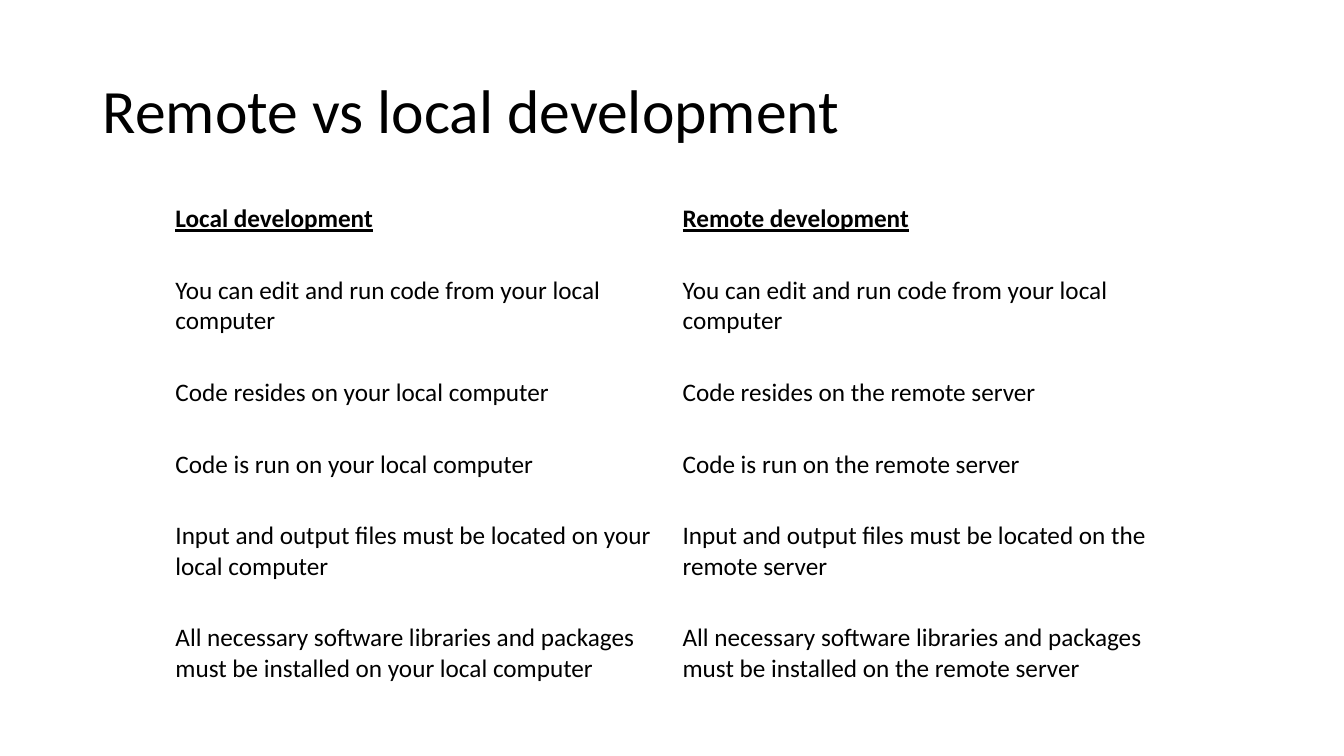
from pptx import Presentation
from pptx.dml.color import RGBColor
from pptx.enum.text import MSO_ANCHOR, PP_ALIGN
from pptx.util import Inches, Pt

# Content
TITLE = "Remote vs local development"
HEADINGS = ("Local development", "Remote development")
PLACES = ("your local computer", "the remote server")
SHARED_POINT = "You can edit and run code from your local computer"
POINTS = [
    "Code resides on {}",
    "Code is run on {}",
    "Input and output files must be located on {}",
    "All necessary software libraries and packages must be installed on {}",
]
COMPARISON = [HEADINGS, (SHARED_POINT, SHARED_POINT)]
COMPARISON += [tuple(point.format(place) for place in PLACES) for point in POINTS]

# Each row holds its text lines plus spare space below
ROW_LINES = [2, 3, 2, 2, 3, 2]
LINE_HEIGHT = 0.305
ROW_PADDING = 0.1
COLUMN_WIDTH = 5.03

COLORS = {"text": "000000", "background": "FFFFFF"}
FONT = "Calibri"


def write_text(frame, text, size=18, bold=False, underline=False, line_spacing=1.0):
    frame.word_wrap = True
    paragraph = frame.paragraphs[0]
    paragraph.alignment = PP_ALIGN.LEFT
    paragraph.line_spacing = line_spacing
    run = paragraph.add_run()
    run.text = text
    run.font.name = FONT
    run.font.size = Pt(size)
    run.font.bold = bold
    run.font.underline = underline
    run.font.color.rgb = RGBColor.from_string(COLORS["text"])


def main():
    deck = Presentation()
    deck.slide_width, deck.slide_height = Inches(13.33), Inches(7.5)
    slide = deck.slides.add_slide(deck.slide_layouts[5])
    slide.background.fill.solid()
    slide.background.fill.fore_color.rgb = RGBColor.from_string(COLORS["background"])

    # Title
    title = slide.shapes.title
    title.left, title.top = Inches(0.92), Inches(0.4)
    title.width, title.height = Inches(11.5), Inches(1.45)
    title.text_frame.vertical_anchor = MSO_ANCHOR.MIDDLE
    write_text(title.text_frame, TITLE, size=44, line_spacing=0.9)

    # Comparison table
    row_heights = [lines * LINE_HEIGHT + ROW_PADDING for lines in ROW_LINES]
    comparison = slide.shapes.add_table(
        len(COMPARISON), len(HEADINGS), Inches(1.64), Inches(1.97),
        Inches(COLUMN_WIDTH * len(HEADINGS)), Inches(sum(row_heights))).table
    comparison.first_row = False
    comparison.horz_banding = False
    for column in comparison.columns:
        column.width = Inches(COLUMN_WIDTH)
    for row_index, (statements, height) in enumerate(zip(COMPARISON, row_heights)):
        comparison.rows[row_index].height = Inches(height)
        is_heading = row_index == 0
        for column_index, statement in enumerate(statements):
            cell = comparison.cell(row_index, column_index)
            cell.fill.background()
            write_text(cell.text_frame, statement, bold=is_heading, underline=is_heading)

    deck.save("out.pptx")


if __name__ == "__main__":
    main()
